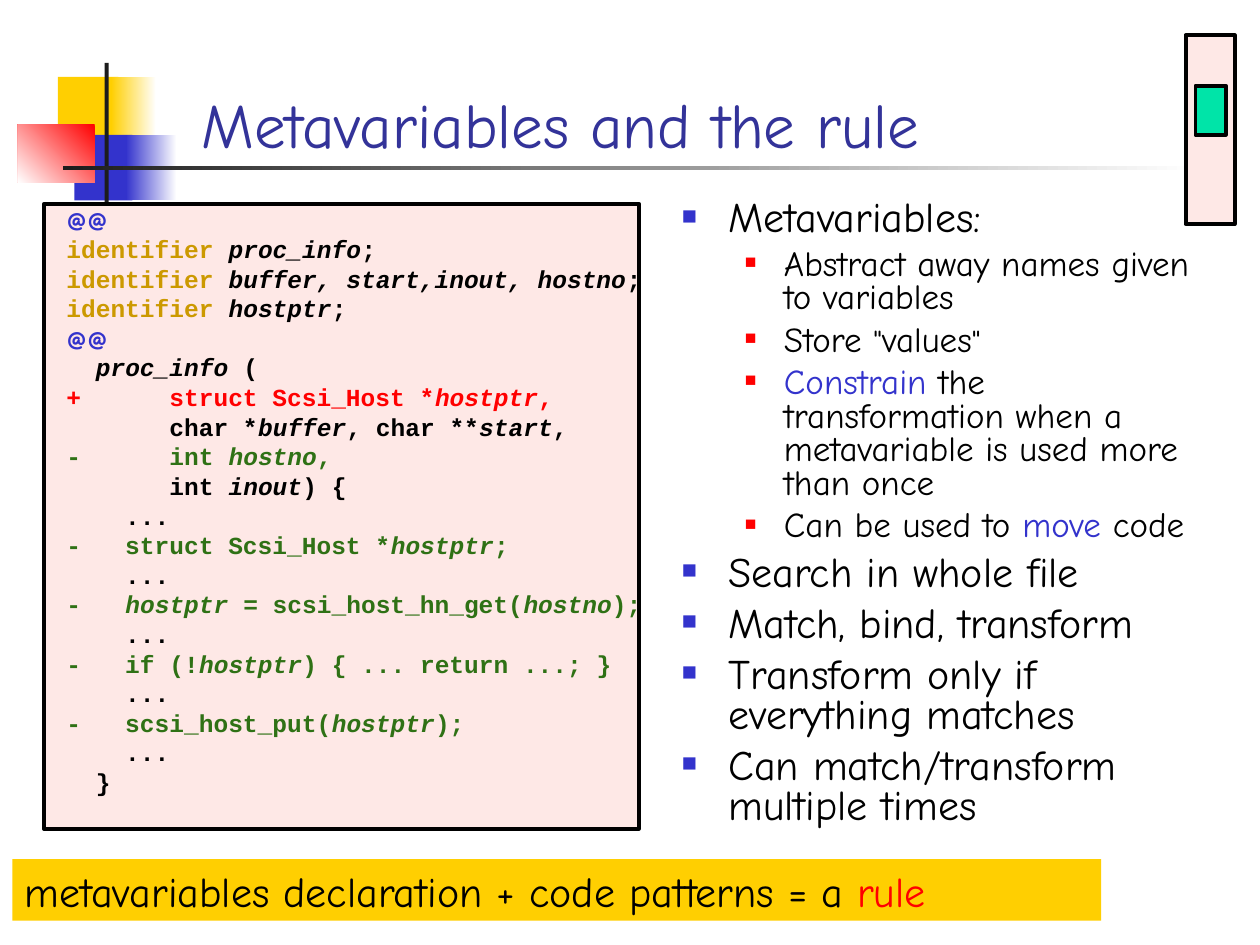
import pptx
import pptx.dml.color
import pptx.enum.shapes
import pptx.enum.text
import pptx.oxml
import pptx.oxml.ns
import pptx.util
from lxml import etree

Cm, Pt = pptx.util.Cm, pptx.util.Pt

THEME = {
    "font": "Comic Neue", "code_font": "Courier New",
    "title_size": 36, "body_sizes": (24, 20), "quote_size": 18,
    "code_size": 14, "banner_size": 24,
    "title": "333399", "text": "000000", "blue": "3333CC", "red": "FF0000",
    "yellow": "FFCF01", "white": "FFFFFF", "bar": "1C1C1C", "panel": "FEE8E6",
    "mint": "00E4A8", "keyword": "CC9900", "removed": "2F7115",
}

TITLE = "Metavariables and the rule"

# (level, runs); a run is (text, colour) or (text, colour, size)
QUOTE = ('"', "text", THEME["quote_size"])
POINTS = [
    (0, [("Metavariables:", "text")]),
    (1, [("Abstract away names given to variables", "text")]),
    (1, [("Store ", "text"), QUOTE, ("values", "text"), QUOTE]),
    (1, [("Constrain", "blue"),
         (" the transformation when a metavariable is used more than once", "text")]),
    (1, [("Can be used to ", "text"), ("move", "blue"), (" code", "text")]),
    (0, [("Search in whole file", "text")]),
    (0, [("Match, bind, transform", "text")]),
    (0, [("Transform only if everything matches", "text")]),
    (0, [("Can match/transform multiple times", "text")]),
]

# Metavariables stand between bars and are set in italics
CODE = [
    "@@",
    "identifier |proc_info|;",
    "identifier |buffer, start,inout, hostno|;",
    "identifier |hostptr|;",
    "@@",
    "  |proc_info| (",
    "+      struct Scsi_Host *|hostptr|,",
    "       char *|buffer|, char **|start|,",
    "-      int |hostno|,",
    "       int |inout|) {",
    "    ...",
    "-   struct Scsi_Host *|hostptr|;",
    "    ...",
    "-   |hostptr| = scsi_host_hn_get(|hostno|);",
    "    ...",
    "-   if (!|hostptr|) { ... return ...; }",
    "    ...",
    "-   scsi_host_put(|hostptr|);",
    "    ...",
    "  }",
]
CODE_COLOURS = {"@": "blue", "+": "red", "-": "removed"}

BANNER = [("metavariables declaration + code patterns = a ", "text"), ("rule", "red")]

# (left, top, width, height) in cm, colours, gradient angle
ORNAMENTS = [
    ((1.17, 1.55, 1.22, 1.32), ["yellow"], None),
    ((2.24, 1.55, 0.91, 1.32), ["white", "yellow"], 180),
    ((1.5, 2.72, 1.17, 1.32), ["blue"], None),
    ((2.54, 2.72, 1.02, 1.32), ["white", "blue"], 180),
    ((0.36, 2.51, 1.55, 1.17), ["red", "white"], 225),
    ((2.11, 1.27, 0.08, 2.92), ["bar"], None),
    ((1.27, 3.35, 22.86, 0.08), ["white", "bar"], 180),
]
OUTLINED = [
    ((0.89, 4.11, 11.99, 12.6), "panel"),
    ((23.9, 0.71, 0.99, 3.81), "panel"),
    ((24.1, 1.73, 0.61, 0.99), "mint"),
]
TITLE_BOX = (3.81, 0.2, 21.59, 3.18)
BODY_BOX = (13.49, 3.91, 11.23, 15.42)
CODE_BOX = (1.09, 4.11, 12.4, 12.8)
BANNER_BOX = (0.25, 17.32, 21.95, 1.24)

# Per level: left margin, hanging indent (cm), space before (pt), bullet colour, bullet size %
LEVELS = [(0.94, 0.94, 6, "blue", 60), (2.06, 0.79, 5, "red", 55)]


def rgb(name):
    return pptx.dml.color.RGBColor.from_string(THEME[name])


def place(shape, box):
    shape.left, shape.top, shape.width, shape.height = map(Cm, box)


def add_box(slide, box, colours, angle=None, outlined=False):
    shape = slide.shapes.add_shape(
        pptx.enum.shapes.MSO_SHAPE.RECTANGLE, *map(Cm, box))
    shape.shadow.inherit = False
    if angle is None:
        shape.fill.solid()
        shape.fill.fore_color.rgb = rgb(colours[0])
    else:
        shape.fill.gradient()
        shape.fill.gradient_angle = angle
        for stop, colour in zip(shape.fill.gradient_stops, colours):
            stop.color.rgb = rgb(colour)
    if outlined:
        shape.line.color.rgb = rgb("text")
        shape.line.width = Pt(2.25)
    else:
        shape.line.fill.background()
    return shape


def prepare(shape, anchor):
    frame = shape.text_frame
    frame.word_wrap = True
    frame.auto_size = pptx.enum.text.MSO_AUTO_SIZE.NONE
    frame.vertical_anchor = anchor
    return frame


def next_paragraph(frame, index, space_before=0, line_spacing=None):
    paragraph = frame.add_paragraph() if index else frame.paragraphs[0]
    paragraph.alignment = pptx.enum.text.PP_ALIGN.LEFT
    paragraph.space_before = Pt(space_before if index else 0)
    if line_spacing:
        paragraph.line_spacing = line_spacing
    return paragraph


def add_run(paragraph, text, colour, size, font=THEME["font"], bold=False, italic=False):
    run = paragraph.add_run()
    run.text = text
    run.font.name, run.font.size = font, Pt(size)
    run.font.bold, run.font.italic = bold, italic
    run.font.color.rgb = rgb(colour)


def add_bullet(paragraph, margin, hanging, colour, percent):
    properties = paragraph._p.get_or_add_pPr()
    properties.set("marL", str(Cm(margin)))
    properties.set("indent", str(-Cm(hanging)))
    tag = pptx.oxml.ns.qn
    colour_element = etree.SubElement(properties, tag("a:buClr"))
    etree.SubElement(colour_element, tag("a:srgbClr"), val=THEME[colour])
    etree.SubElement(properties, tag("a:buSzPct"), val=str(percent * 1000))
    etree.SubElement(properties, tag("a:buChar"), char="■")


def fill_body(frame):
    for index, (level, runs) in enumerate(POINTS):
        margin, hanging, space, colour, percent = LEVELS[level]
        paragraph = next_paragraph(frame, index, space, 0.8)
        paragraph.level = level
        add_bullet(paragraph, margin, hanging, colour, percent)
        for text, run_colour, *size in runs:
            add_run(paragraph, text, run_colour, *(size or [THEME["body_sizes"][level]]))


def fill_code(frame):
    for index, line in enumerate(CODE):
        paragraph = next_paragraph(frame, index, 3.5, 0.8)
        font = THEME["font"] if line == "@@" else THEME["code_font"]
        colour = CODE_COLOURS.get(line[0], "text")
        for part, text in enumerate(line.split("|")):
            if text:
                run_colour = "keyword" if text == "identifier " else colour
                add_run(paragraph, text, run_colour, THEME["code_size"], font,
                        bold=True, italic=part % 2 == 1)


def main():
    anchors = pptx.enum.text.MSO_ANCHOR
    presentation = pptx.Presentation()
    presentation.slide_width, presentation.slide_height = Cm(25.4), Cm(19.05)
    slide = presentation.slides.add_slide(presentation.slide_layouts[1])

    for box, colours, angle in ORNAMENTS:
        add_box(slide, box, colours, angle)
    for box, colour in OUTLINED:
        add_box(slide, box, [colour], outlined=True)

    title, body = slide.shapes.title, slide.placeholders[1]
    place(title, TITLE_BOX)
    paragraph = next_paragraph(prepare(title, anchors.BOTTOM), 0)
    add_run(paragraph, TITLE, "title", THEME["title_size"])

    place(body, BODY_BOX)
    fill_body(prepare(body, anchors.TOP))

    code = slide.shapes.add_textbox(*map(Cm, CODE_BOX))
    fill_code(prepare(code, anchors.TOP))

    banner = add_box(slide, BANNER_BOX, ["yellow"])
    paragraph = next_paragraph(prepare(banner, anchors.TOP), 0)
    for text, colour in BANNER:
        add_run(paragraph, text, colour, THEME["banner_size"])

    presentation.save("out.pptx")


if __name__ == "__main__":
    main()
